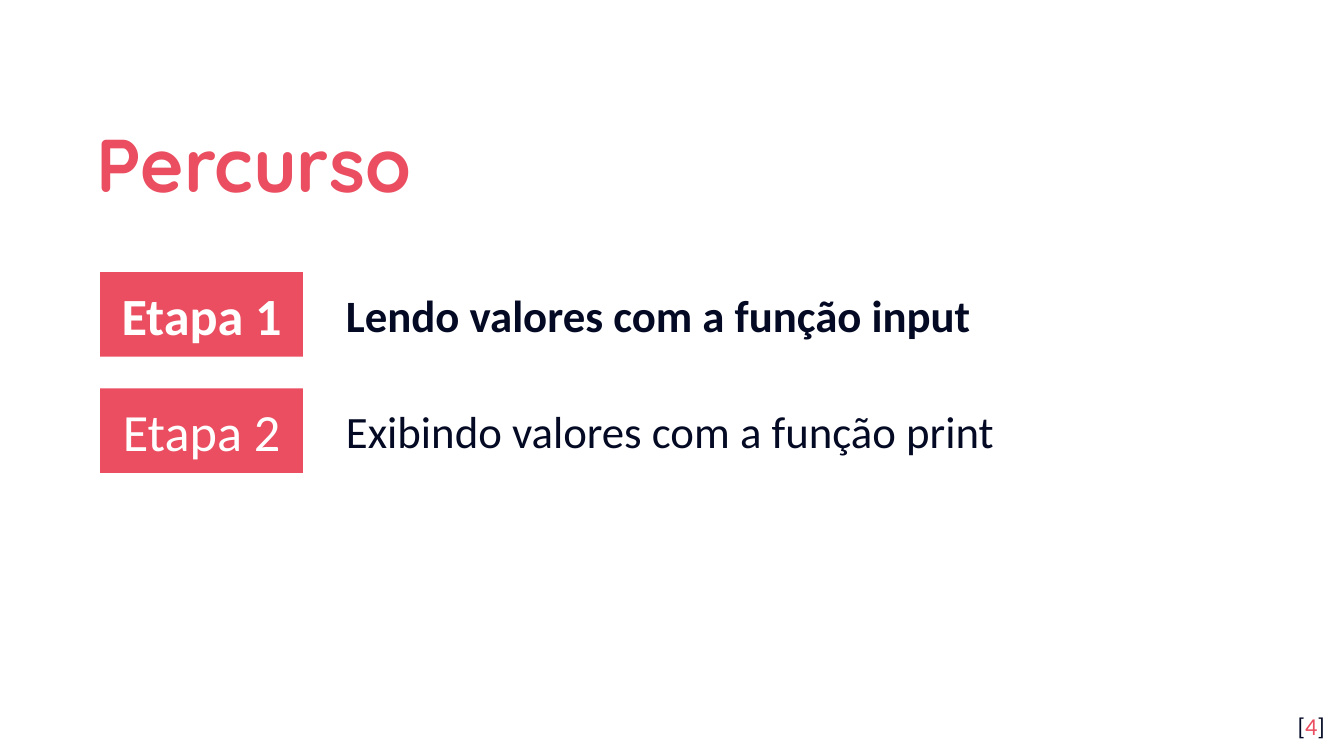
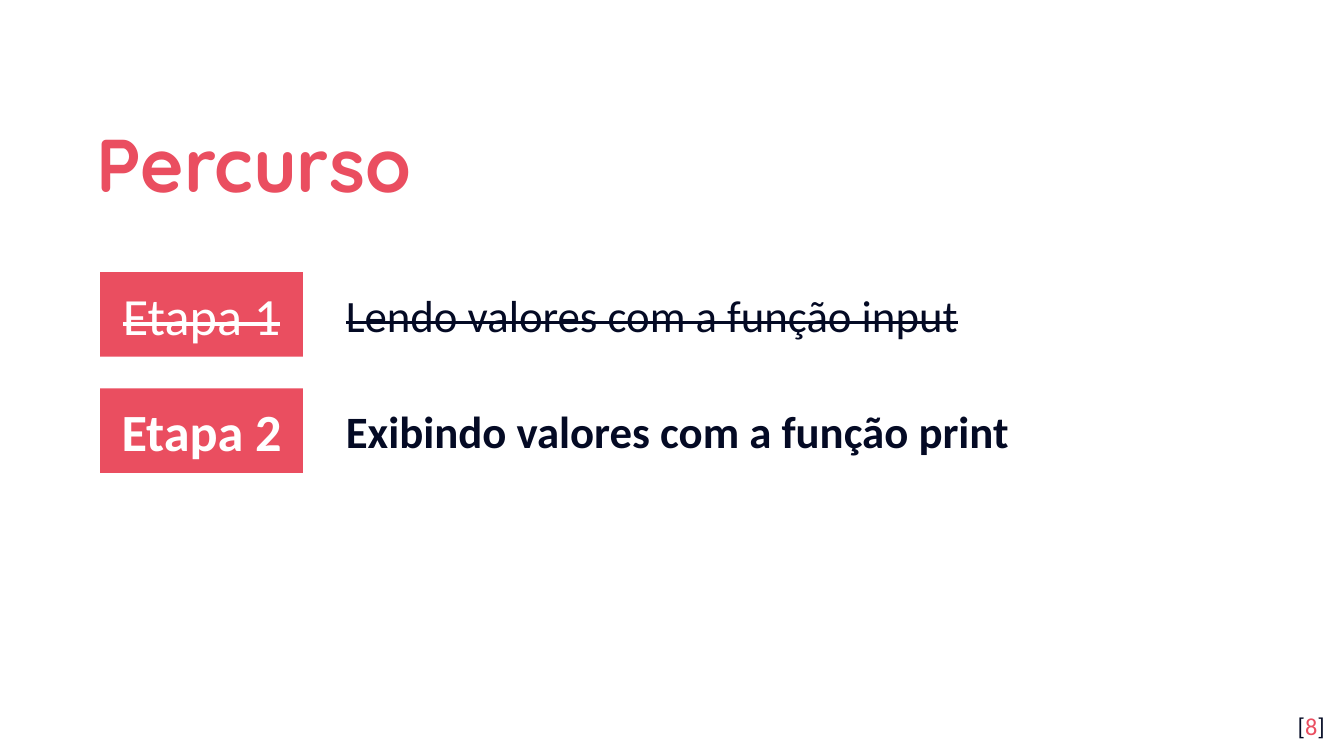
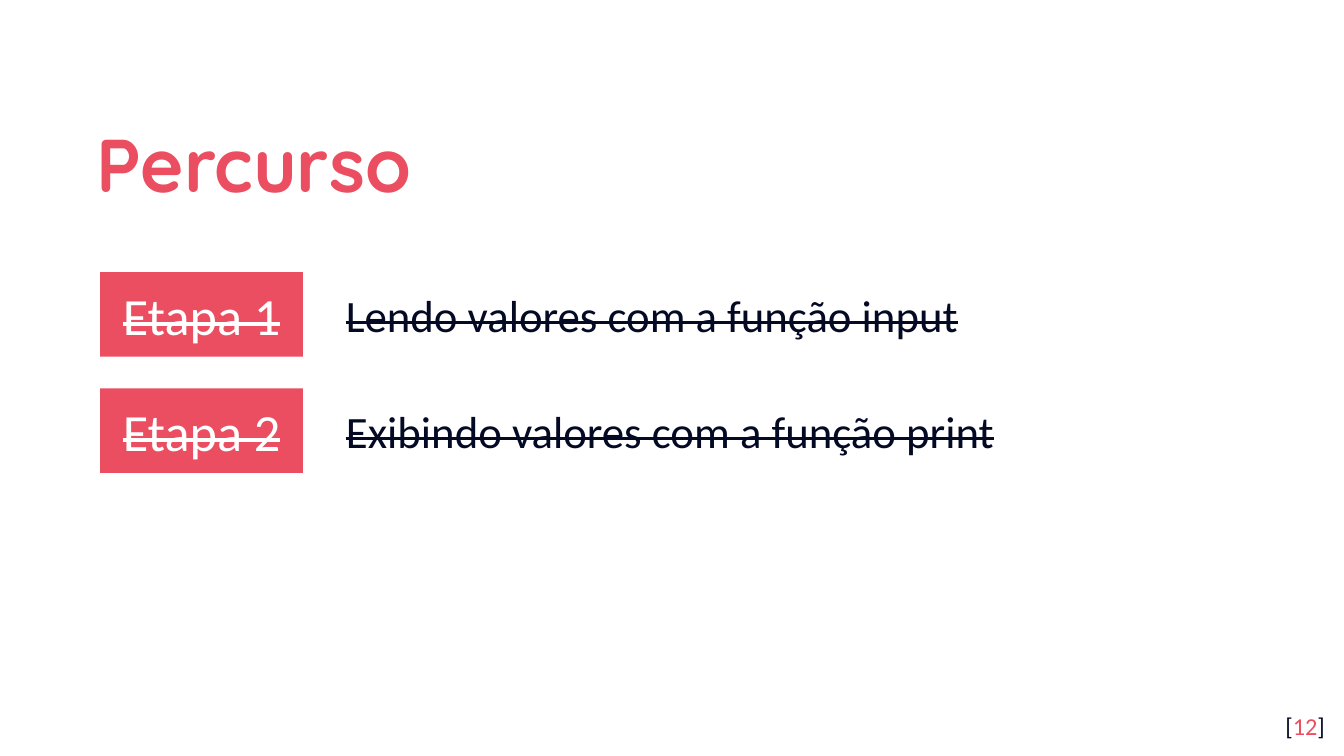
from dataclasses import dataclass

from pptx import Presentation
from pptx.dml.color import RGBColor
from pptx.enum.shapes import MSO_SHAPE
from pptx.enum.text import MSO_ANCHOR, PP_ALIGN
from pptx.util import Pt

RECTANGLE = MSO_SHAPE.RECTANGLE
TOP, MIDDLE = MSO_ANCHOR.TOP, MSO_ANCHOR.MIDDLE
LEFT, CENTER, RIGHT = PP_ALIGN.LEFT, PP_ALIGN.CENTER, PP_ALIGN.RIGHT

PX = 4572  # EMU per px, 200 px to the inch


@dataclass(frozen=True)
class Theme:
    accent: RGBColor = RGBColor(0xEA, 0x4E, 0x60)
    ink: RGBColor = RGBColor(0x04, 0x0A, 0x24)
    paper: RGBColor = RGBColor(0xFF, 0xFF, 0xFF)
    title_font: str = "Quicksand"
    body_font: str = "Calibri"
    title_size: int = 40
    label_size: int = 28
    topic_size: int = 24
    page_size: int = 13


THEME = Theme()


def box(slide, x, y, w, h, fill=None):
    """Add a text box, or a filled rectangle when a fill is given."""
    area = [v * PX for v in (x, y, w, h)]
    if fill is None:
        return slide.shapes.add_textbox(*area)
    shape = slide.shapes.add_shape(RECTANGLE, *area)
    shape.shadow.inherit = False
    shape.fill.solid()
    shape.fill.fore_color.rgb = fill
    shape.line.fill.background()
    return shape


def write(shape, *parts, size, font=THEME.body_font, bold=False, strike=False,
          align=LEFT, anchor=TOP, inset=20, spacing=None):
    """Fill a shape with one paragraph made of (text, colour) parts."""
    frame = shape.text_frame
    frame.word_wrap = True
    frame.vertical_anchor = anchor
    frame.margin_left = frame.margin_right = 20 * PX
    frame.margin_top = frame.margin_bottom = inset * PX
    paragraph = frame.paragraphs[0]
    paragraph.alignment = align
    paragraph.line_spacing = spacing
    for text, color in parts:
        run = paragraph.add_run()
        run.text = text
        run.font.name = font
        run.font.size = Pt(size)
        run.font.bold = bold
        run.font.color.rgb = color
        if strike:
            run._r.get_or_add_rPr().set("strike", "sngStrike")


TOPICS = ["Lendo valores com a função input", "Exibindo valores com a função print"]
# page number and current step; earlier steps are struck through
PAGES = [(4, 1), (8, 2), (12, 3)]
FIRST_STEP_Y, STEP_PITCH = 405, 173

prs = Presentation()
prs.slide_width, prs.slide_height = 2000 * PX, 1125 * PX
blank = prs.slide_layouts[6]
background = prs.slide_master.background.fill
background.solid()
background.fore_color.rgb = THEME.paper

for page, current in PAGES:
    slide = prs.slides.add_slide(blank)
    write(box(slide, 124, 140, 1620, 184), ("Percurso", THEME.accent),
          size=THEME.title_size, font=THEME.title_font, bold=True,
          anchor=MIDDLE, spacing=1.15)

    for step, topic in enumerate(TOPICS, start=1):
        y = FIRST_STEP_Y + (step - 1) * STEP_PITCH
        state = {"bold": step == current, "strike": step < current}
        write(box(slide, 149, y, 302, 126, THEME.accent), (f"Etapa {step}", THEME.paper),
              size=THEME.label_size, align=CENTER, anchor=MIDDLE, **state)
        write(box(slide, 495, y + 13, 1350, 100), (topic, THEME.ink),
              size=THEME.topic_size, inset=10, **state)

    write(box(slide, 1871, 1039, 120, 86),
          ("[", THEME.ink), (str(page), THEME.accent), ("]", THEME.ink),
          size=THEME.page_size, align=RIGHT)

prs.save("out.pptx")
